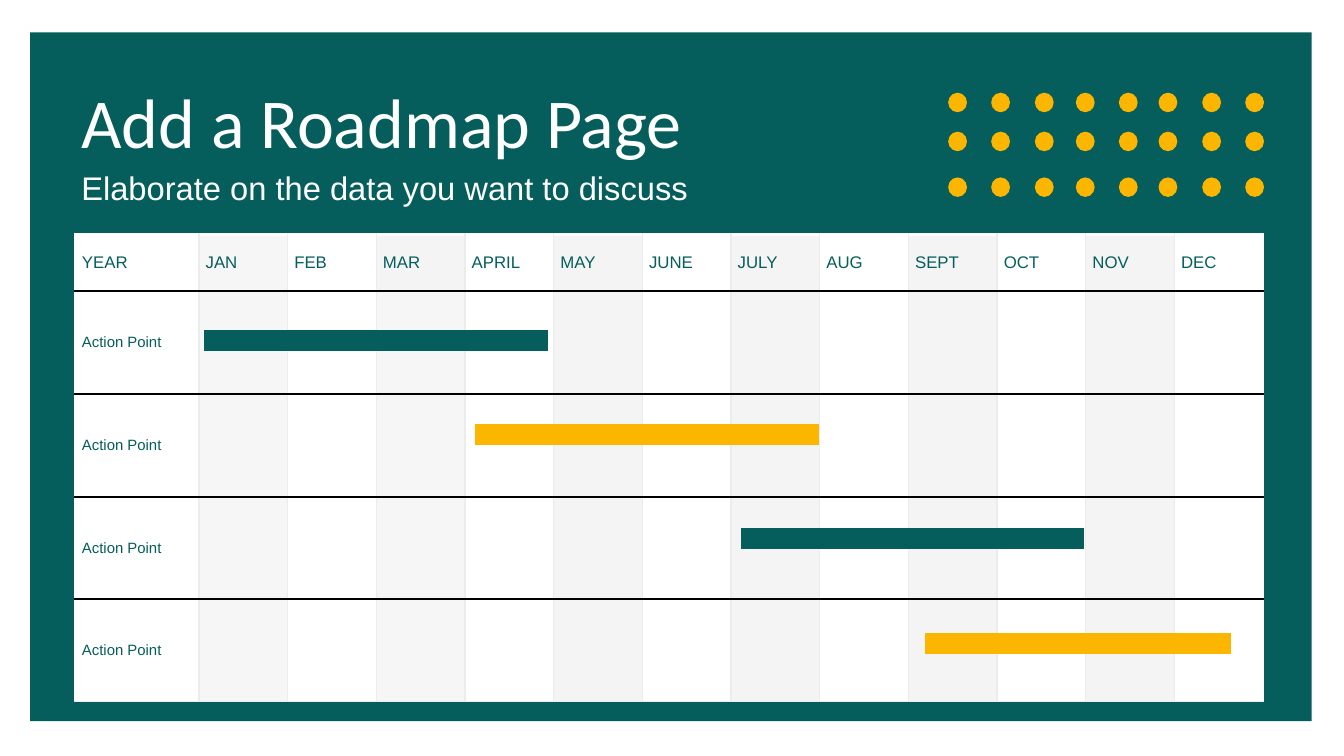
from lxml.etree import SubElement
from pptx import Presentation
from pptx.dml.color import RGBColor
from pptx.enum.shapes import MSO_CONNECTOR, MSO_SHAPE
from pptx.enum.text import MSO_ANCHOR, MSO_AUTO_SIZE, PP_ALIGN
from pptx.oxml import parse_xml
from pptx.oxml.ns import nsdecls, qn
from pptx.util import Inches, Pt

TEAL, AMBER, WHITE, BLACK = "055E5C", "FDB600", "FFFFFF", "000000"
GRID, LIGHT_GRAY, GRAY = "EDECED", "F6F6F6", "F4F4F4"

MONTHS = ["JAN", "FEB", "MAR", "APRIL", "MAY", "JUNE",
          "JULY", "AUG", "SEPT", "OCT", "NOV", "DEC"]
ROWS = [["YEAR"] + MONTHS] + [["Action Point"] + [""] * 12] * 4
COLUMN_WIDTHS = [1.84] + [1.32] * 12
ROW_HEIGHTS = [0.84, 1.53, 1.53, 1.53, 1.52]

# Start, end, height on the slide and colour of each roadmap bar
BARS = [(3.03, 8.15, 5.06, TEAL), (7.07, 12.19, 6.46, AMBER),
        (11.02, 16.13, 8.01, TEAL), (13.76, 18.32, 9.57, AMBER)]

DOT_LEFTS = [14.11, 14.75, 15.4, 16.01, 16.65, 17.24, 17.89, 18.53]
DOT_TOPS = [1.38, 1.96, 2.64]


def color(hex_value):
    return RGBColor.from_string(hex_value)


def column_fill(row, column):
    if column % 2 == 0:
        return WHITE
    return LIGHT_GRAY if column == 1 or (column == 3 and row > 0) else GRAY


def cell_borders(row, column):
    """Colour and width of the left, right, top and bottom border."""
    outer, inner = (WHITE, 3.03), (GRID, 1.5)
    levels = [outer, (BLACK, 3.03)] + [(BLACK, 2.25)] * 3 + [(GRID, 1.52)]
    return {"lnL": outer if column == 0 else inner,
            "lnR": outer if column == len(MONTHS) else inner,
            "lnT": levels[row],
            "lnB": levels[row + 1]}


class RoadmapSlide:
    def __init__(self, slide):
        self.slide = slide
        self.text_font = "Arial"

    def add_run(self, paragraph, text, size, hex_value, font_name=None):
        run = paragraph.add_run()
        run.text = text
        run.font.name = font_name or self.text_font
        run.font.size = Pt(size)
        run.font.color.rgb = color(hex_value)

    def add_shape(self, kind, left, top, width, height, hex_value):
        shape = self.slide.shapes.add_shape(
            kind, Inches(left), Inches(top), Inches(width), Inches(height))
        shape.shadow.inherit = False
        shape.fill.solid()
        shape.fill.fore_color.rgb = color(hex_value)
        shape.line.fill.background()
        return shape

    def add_background(self, left, top, width, height):
        panel = self.add_shape(MSO_SHAPE.RECTANGLE, left, top, width, height, TEAL)
        # Behind the placeholders
        panel.element.getparent().insert(2, panel.element)

    def fill_placeholder(self, index, box, text, size, spacing, font_name=None):
        shape = self.slide.placeholders[index]
        shape.left, shape.top, shape.width, shape.height = map(Inches, box)
        frame = shape.text_frame
        frame.margin_left = frame.margin_right = 0
        frame.margin_top = frame.margin_bottom = 0
        frame.word_wrap = True
        frame.auto_size = MSO_AUTO_SIZE.SHAPE_TO_FIT_TEXT
        frame.vertical_anchor = MSO_ANCHOR.TOP
        paragraph = frame.paragraphs[0]
        paragraph.alignment = PP_ALIGN.LEFT
        paragraph.line_spacing = spacing
        paragraph.space_before = Pt(0)
        self.add_run(paragraph, text, size, WHITE, font_name)

    def add_table(self, left, top):
        table = self.slide.shapes.add_table(
            len(ROW_HEIGHTS), len(COLUMN_WIDTHS), Inches(left), Inches(top),
            Inches(sum(COLUMN_WIDTHS)), Inches(sum(ROW_HEIGHTS))).table
        table.first_row = table.horz_banding = False
        for column, width in zip(table.columns, COLUMN_WIDTHS):
            column.width = Inches(width)
        for row, height in zip(table.rows, ROW_HEIGHTS):
            row.height = Inches(height)
        for row, texts in enumerate(ROWS):
            for column, text in enumerate(texts):
                self.format_cell(table.cell(row, column), row, column, text)

    def format_cell(self, cell, row, column, text):
        cell.fill.solid()
        cell.fill.fore_color.rgb = color(column_fill(row, column))
        cell.vertical_anchor = MSO_ANCHOR.MIDDLE
        if text:
            self.add_run(cell.text_frame.paragraphs[0], text,
                         18 if row == 0 else 16, TEAL)
        properties = cell._tc.get_or_add_tcPr()
        borders = cell_borders(row, column)
        for position, (tag, (hex_value, width)) in enumerate(borders.items()):
            properties.insert(position, parse_xml(
                f'<a:{tag} {nsdecls("a")} w="{Pt(width)}"><a:solidFill>'
                f'<a:srgbClr val="{hex_value}"/></a:solidFill></a:{tag}>'))

    def add_bar(self, start, end, y, hex_value):
        bar = self.slide.shapes.add_connector(
            MSO_CONNECTOR.STRAIGHT, Inches(start), Inches(y), Inches(end), Inches(y))
        bar.line.width = Pt(22.5)
        bar.line.color.rgb = color(hex_value)
        SubElement(bar.element.spPr, qn("a:effectLst"))


def main():
    presentation = Presentation()
    presentation.slide_width = Inches(20)
    presentation.slide_height = Inches(11.25)
    roadmap = RoadmapSlide(
        presentation.slides.add_slide(presentation.slide_layouts[0]))

    # Background and headings
    roadmap.add_background(0.45, 0.48, 19.07, 10.25)
    roadmap.fill_placeholder(0, (1.21, 0.92, 11.76, 1.25),
                             "Add a Roadmap Page", 75, 1.2, "Calibri")
    roadmap.fill_placeholder(1, (1.21, 2.32, 12.05, 0.61),
                             "Elaborate on the data you want to discuss", 35, 1.3)

    # Calendar table with the bars on top
    roadmap.add_table(1.12, 3.49)
    for bar in BARS:
        roadmap.add_bar(*bar)

    # Dot pattern
    for top in DOT_TOPS:
        for left in DOT_LEFTS:
            roadmap.add_shape(MSO_SHAPE.OVAL, left, top, 0.28, 0.29, AMBER)

    presentation.save("out.pptx")


if __name__ == "__main__":
    main()
